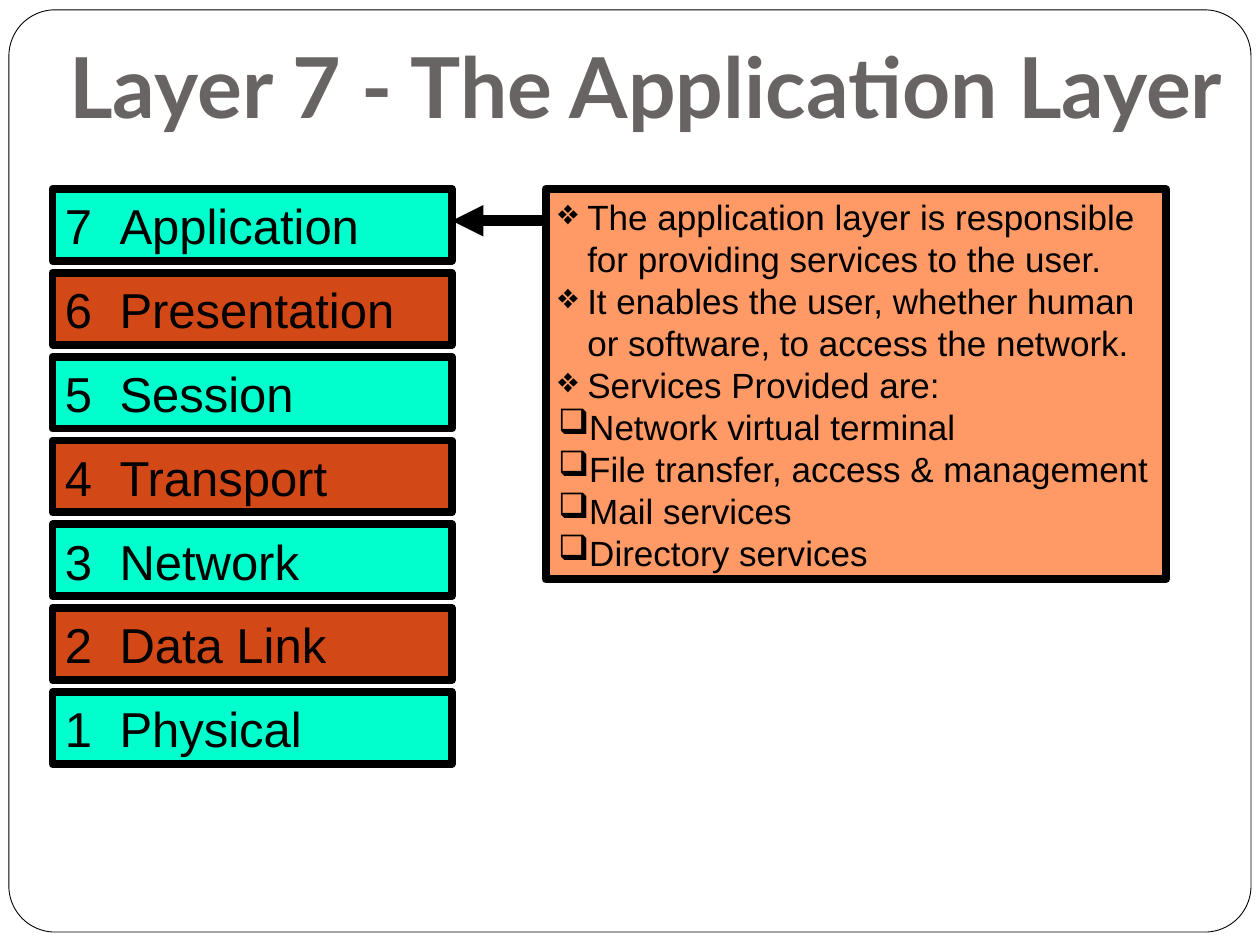
from lxml import etree
from pptx import Presentation
from pptx.dml.color import RGBColor
from pptx.enum.shapes import MSO_CONNECTOR, MSO_SHAPE
from pptx.enum.text import MSO_ANCHOR, PP_ALIGN
from pptx.oxml.ns import qn
from pptx.util import Cm, Pt

RECT, ROUND_RECT = MSO_SHAPE.RECTANGLE, MSO_SHAPE.ROUNDED_RECTANGLE
STRAIGHT = MSO_CONNECTOR.STRAIGHT
TOP, BOTTOM = MSO_ANCHOR.TOP, MSO_ANCHOR.BOTTOM
LEFT = PP_ALIGN.LEFT

TITLE = "Layer 7 - The Application Layer"
LAYERS = ["Application", "Presentation", "Session", "Transport",
          "Network", "Data Link", "Physical"]
NOTES = [
    ("❖", "The application layer is responsible for providing services to the user."),
    ("❖", "It enables the user, whether human or software, to access the network."),
    ("❖", "Services Provided are:"),
    ("❑", "Network virtual terminal"),
    ("❑", "File transfer, access & management"),
    ("❑", "Mail services"),
    ("❑", "Directory services"),
]
THEME = {
    "title_font": "Lato", "body_font": "Arial",
    "title_size": 48, "layer_size": 28, "note_size": 20,
    "layer_leading": 34, "note_leading": 24,
    "title": "696464", "ink": "000000", "paper": "FFFFFF",
    "layers": ("00FFCC", "D34817"), "notes": "FF9966",
    "frame_line": 0.5, "box_line": 4.5, "arrow_line": 6,
}
STACK_LEFT, STACK_TOP, LAYER_W, LAYER_H, PITCH = 1.06, 3.81, 8.05, 1.45, 1.69
NOTES_LEFT, NOTES_W, NOTES_H = 11, 12.5, 7.87
ARROW_Y = 4.45
NUMBER_TAB, BULLET_INDENT = 1.1, 0.59


def rgb(name):
    return RGBColor.from_string(name)


def add_box(s, kind, x, y, w, h, fill, weight):
    sp = s.shapes.add_shape(kind, Cm(x), Cm(y), Cm(w), Cm(h))
    sp.shadow.inherit = False
    sp.fill.solid()
    sp.fill.fore_color.rgb = rgb(fill)
    sp.line.color.rgb = rgb(THEME["ink"])
    sp.line.width = Pt(weight)
    tf = sp.text_frame
    tf.word_wrap = True
    tf.vertical_anchor = TOP
    return sp


def add_run(p, text, font, size, color, bold=False):
    p.alignment = LEFT
    r = p.add_run()
    r.text = text
    r.font.name = font
    r.font.size = Pt(size)
    r.font.bold = bold
    r.font.color.rgb = rgb(color)


def add_tab(p, pos):
    tabs = etree.SubElement(p._p.get_or_add_pPr(), qn("a:tabLst"))
    etree.SubElement(tabs, qn("a:tab"), pos=str(Cm(pos)), algn="l")


def add_bullet(p, char):
    pPr = p._p.get_or_add_pPr()
    pPr.set("marL", str(Cm(BULLET_INDENT)))
    pPr.set("indent", str(-Cm(BULLET_INDENT)))
    color = etree.SubElement(pPr, qn("a:buClr"))
    etree.SubElement(color, qn("a:srgbClr"), val=THEME["ink"])
    etree.SubElement(pPr, qn("a:buChar"), char=char)


def add_title(s):
    tf = s.shapes.add_textbox(0, Cm(0.43), Cm(25.4), Cm(2.54)).text_frame
    tf.word_wrap = True
    tf.vertical_anchor = BOTTOM
    tf.margin_left, tf.margin_bottom = Cm(1.4), Cm(0.25)
    add_run(tf.paragraphs[0], TITLE, THEME["title_font"],
            THEME["title_size"], THEME["title"], bold=True)


def add_layers(s):
    for i, name in enumerate(LAYERS):
        sp = add_box(s, RECT, STACK_LEFT, STACK_TOP + i * PITCH, LAYER_W, LAYER_H,
                     THEME["layers"][i % 2], THEME["box_line"])
        p = sp.text_frame.paragraphs[0]
        add_tab(p, NUMBER_TAB)
        p.line_spacing = Pt(THEME["layer_leading"])
        add_run(p, f"{len(LAYERS) - i}\t{name}", THEME["body_font"],
                THEME["layer_size"], THEME["ink"])


def add_notes(s):
    sp = add_box(s, RECT, NOTES_LEFT, STACK_TOP, NOTES_W, NOTES_H,
                 THEME["notes"], THEME["box_line"])
    tf = sp.text_frame
    for i, (char, text) in enumerate(NOTES):
        p = tf.add_paragraph() if i else tf.paragraphs[0]
        add_bullet(p, char)
        p.line_spacing = Pt(THEME["note_leading"])
        add_run(p, text, THEME["body_font"], THEME["note_size"], THEME["ink"])


def add_arrow(s):
    arrow = s.shapes.add_connector(STRAIGHT, Cm(NOTES_LEFT), Cm(ARROW_Y),
                                   Cm(STACK_LEFT + LAYER_W), Cm(ARROW_Y))
    arrow.line.color.rgb = rgb(THEME["ink"])
    arrow.line.width = Pt(THEME["arrow_line"])
    etree.SubElement(arrow.line._get_or_add_ln(), qn("a:tailEnd"), type="triangle")
    etree.SubElement(arrow._element.spPr, qn("a:effectLst"))


def main():
    prs = Presentation()
    prs.slide_width, prs.slide_height = Cm(25.4), Cm(19.05)
    s = prs.slides.add_slide(prs.slide_layouts[6])
    frame = add_box(s, ROUND_RECT, 0.18, 0.2, 25.04, 18.59,
                    THEME["paper"], THEME["frame_line"])
    frame.adjustments[0] = 0.05
    add_title(s)
    add_layers(s)
    add_notes(s)
    add_arrow(s)
    prs.save("out.pptx")


if __name__ == "__main__":
    main()
